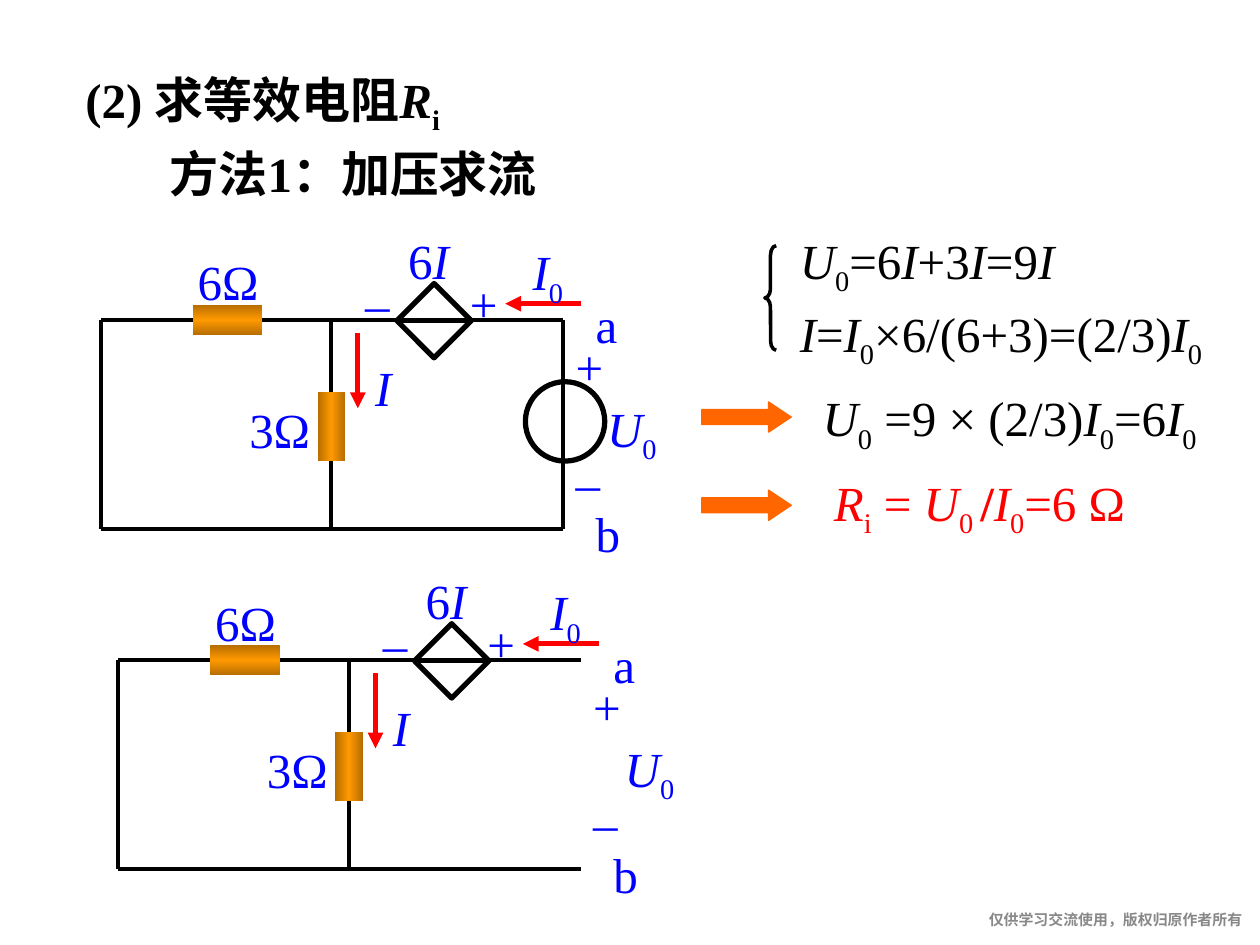
from copy import deepcopy
from typing import NamedTuple

from lxml.etree import SubElement
from pptx import Presentation
from pptx.dml.color import RGBColor
from pptx.enum.shapes import MSO_CONNECTOR as Link, MSO_SHAPE as Kind
from pptx.enum.text import MSO_ANCHOR as Anchor, PP_ALIGN as Align
from pptx.oxml.ns import qn
from pptx.util import Inches, Pt

BLACK, BLUE, RED, ORANGE = "000000", "0000FF", "FF0000", "FF6600"


class Label(NamedTuple):
    """Text in parts split by |, where * is italic, _ subscript and ! bold."""
    text: str
    x: float
    y: float
    w: float
    color: str = BLACK
    bold: bool = False


class Wire(NamedTuple):
    x1: float
    y1: float
    x2: float
    y2: float
    color: str = BLACK
    width: float = 2.25
    arrow: bool = False


class Box(NamedTuple):
    kind: Kind
    x: float
    y: float
    w: float
    h: float
    width: float = 0
    fill: str = ""
    line: str = BLACK


def paint(hue: str) -> RGBColor:
    return RGBColor.from_string(hue)


def write(shapes, label: Label, dx: float = 0, dy: float = 0) -> None:
    box = shapes.add_textbox(Inches(label.x + dx), Inches(label.y + dy),
                             Inches(label.w), Inches(0.57))
    box.text_frame.word_wrap = True
    para = box.text_frame.paragraphs[0]
    font = para.font
    font.name, font.size, font.bold = "Times New Roman", Pt(28), label.bold
    font.color.rgb = paint(label.color)
    for part in label.text.split("|"):
        run = para.add_run()
        run.text = part.lstrip("*_!")
        if part[0] == "*":
            run.font.italic = True
        elif part[0] == "_":
            run.font._element.set("baseline", "-25000")
        elif part[0] == "!":
            run.font.bold = True


def draw(shapes, box: Box, dx: float = 0, dy: float = 0):
    shape = shapes.add_shape(box.kind, Inches(box.x + dx), Inches(box.y + dy),
                             Inches(box.w), Inches(box.h))
    shape.shadow.inherit = False
    if box.fill:
        shape.fill.solid()
        shape.fill.fore_color.rgb = paint(box.fill)
    else:
        shape.fill.background()
    if box.width:
        shape.line.color.rgb = paint(box.line)
        shape.line.width = Pt(box.width)
    else:
        shape.line.fill.background()
    return shape


def shade(shape, angle: int) -> None:
    """Fill with a dark-bright-dark gradient."""
    shape.fill.gradient()
    shape.fill.gradient_angle = angle
    first, last = shape.fill.gradient_stops
    first.color.rgb, last.color.rgb = paint("B66D00"), paint("FF9900")
    first.position, last.position = 0, 0.5
    stops = shape.element.spPr.find(".//" + qn("a:gsLst"))
    end = deepcopy(stops[0])
    end.set("pos", "100000")
    stops.append(end)


def join(shapes, wire: Wire, dx: float = 0, dy: float = 0):
    link = shapes.add_connector(
        Link.STRAIGHT, Inches(wire.x1 + dx), Inches(wire.y1 + dy),
        Inches(wire.x2 + dx), Inches(wire.y2 + dy))
    link.line.color.rgb = paint(wire.color)
    link.line.width = Pt(wire.width)
    if wire.arrow:
        SubElement(link.line._get_or_add_ln(), qn("a:tailEnd"), type="triangle")
    SubElement(link.element.spPr, qn("a:effectLst"))
    return link


# Circuit parts, placed for the upper circuit
LEFT, MID, RIGHT, TOP, BASE = 0.8, 2.63, 4.47, 2.54, 4.2
WIRES = [
    Wire(MID, TOP, MID, BASE),
    Wire(LEFT, BASE, RIGHT, BASE),
    Wire(LEFT, BASE, LEFT, TOP),
    Wire(2.84, 2.64, 2.84, 3.24, RED, 3, True),
    Wire(4.61, 2.41, 4.01, 2.41, RED, 3, True),
]
MARKS = [
    Label("3Ω", 1.88, 3.12, 0.75, BLUE),
    Label("6Ω", 1.47, 1.95, 1.06, BLUE),
    Label("*I", 2.88, 2.79, 0.5, BLUE),
    Label("+", 4.47, 2.62, 0.33, BLUE),
    Label("–", 4.47, 3.54, 0.42, BLUE),
    Label("*U|_0", 4.72, 3.11, 0.67, BLUE),
    Label("a", 4.63, 2.29, 0.5, BLUE),
    Label("b", 4.63, 3.95, 0.33, BLUE),
    Label("+", 3.63, 2.12, 0.42, BLUE),
    Label("–", 2.8, 2.12, 0.5, BLUE),
    Label("6|*I", 3.14, 1.78, 0.75, BLUE),
    Label("*I|_0", 4.13, 1.87, 0.67, BLUE),
]


def circuit(slide, dx: float, dy: float, source: bool) -> None:
    shapes = slide.shapes.add_group_shape().shapes
    if source:
        draw(shapes, Box(Kind.OVAL, 4.17, 3.03, 0.63, 0.63, 3), dx, dy)
        join(shapes, Wire(RIGHT, TOP, RIGHT, BASE), dx, dy)
    for wire in WIRES:
        join(shapes, wire, dx, dy)
    for mark in MARKS:
        write(shapes, mark, dx, dy)

    # Resistors, with the top wire joined to both ends of the first
    six = draw(shapes, Box(Kind.RECTANGLE, 1.53, TOP - 0.12, 0.55, 0.24), dx, dy)
    shade(six, 90)
    join(shapes, Wire(LEFT, TOP, 1.53, TOP), dx, dy).end_connect(six, 1)
    join(shapes, Wire(2.08, TOP, RIGHT, TOP), dx, dy).begin_connect(six, 3)
    three = draw(shapes, Box(Kind.RECTANGLE, 2.52, 3.11, 0.22, 0.55), dx, dy)
    shade(three, 0)

    # Controlled source
    draw(shapes, Box(Kind.FLOWCHART_SORT, 3.15, 2.25, 0.59, 0.59, 3), dx, dy)


deck = Presentation()
deck.slide_width, deck.slide_height = Inches(10), Inches(7.5)
slide = deck.slides.add_slide(deck.slide_layouts[6])

# Heading and equations
for label in [
    Label("(2) 求等效电阻|*R|_i", 0.58, 0.5, 3.58, bold=True),
    Label("方法1：加压求流", 1.25, 1.09, 3.17, bold=True),
    Label("*U|_0|=6|*I|+3|*I|=9|*I", 6.25, 1.78, 3.1),
    Label("*I|=|*I|_0|×6/(6+3)=(2/3)|*I|_0", 6.25, 2.36, 3.7),
    Label("*U|_0| =9 × (2/3)|*I|_0|=6|*I|_0", 6.43, 3.03, 3.51),
    Label("*R|_i| = |*U|_0 |!/|*I|_0|=6 Ω", 6.52, 3.7, 2.7, RED),
]:
    write(slide.shapes, label)

# Brace and result arrows
brace = draw(slide.shapes, Box(Kind.LEFT_BRACE, 6.07, 1.95, 0.09, 0.83, 2))
brace.adjustments[0] = 0.83
for y in (3.19, 3.89):
    arrow = draw(slide.shapes, Box(Kind.RIGHT_ARROW, 5.57, y, 0.71, 0.24,
                                   0.75, ORANGE, ORANGE))
    arrow.adjustments[1] = 0.75

# Circuits with and without the test source
circuit(slide, 0, 0, True)
circuit(slide, 0.14, 2.7, False)

# Footer
foot = slide.shapes.add_textbox(Inches(6.06), Inches(7.23), Inches(3.8), Inches(0.22))
frame = foot.text_frame
frame.margin_left = frame.margin_right = frame.margin_top = frame.margin_bottom = 0
frame.vertical_anchor, frame.word_wrap = Anchor.TOP, False
para = frame.paragraphs[0]
para.text, para.alignment = "仅供学习交流使用，版权归原作者所有", Align.RIGHT
para.font.name, para.font.size, para.font.bold = "Arial", Pt(8.5), True
para.font.color.rgb = paint("888888")

deck.save("out.pptx")
